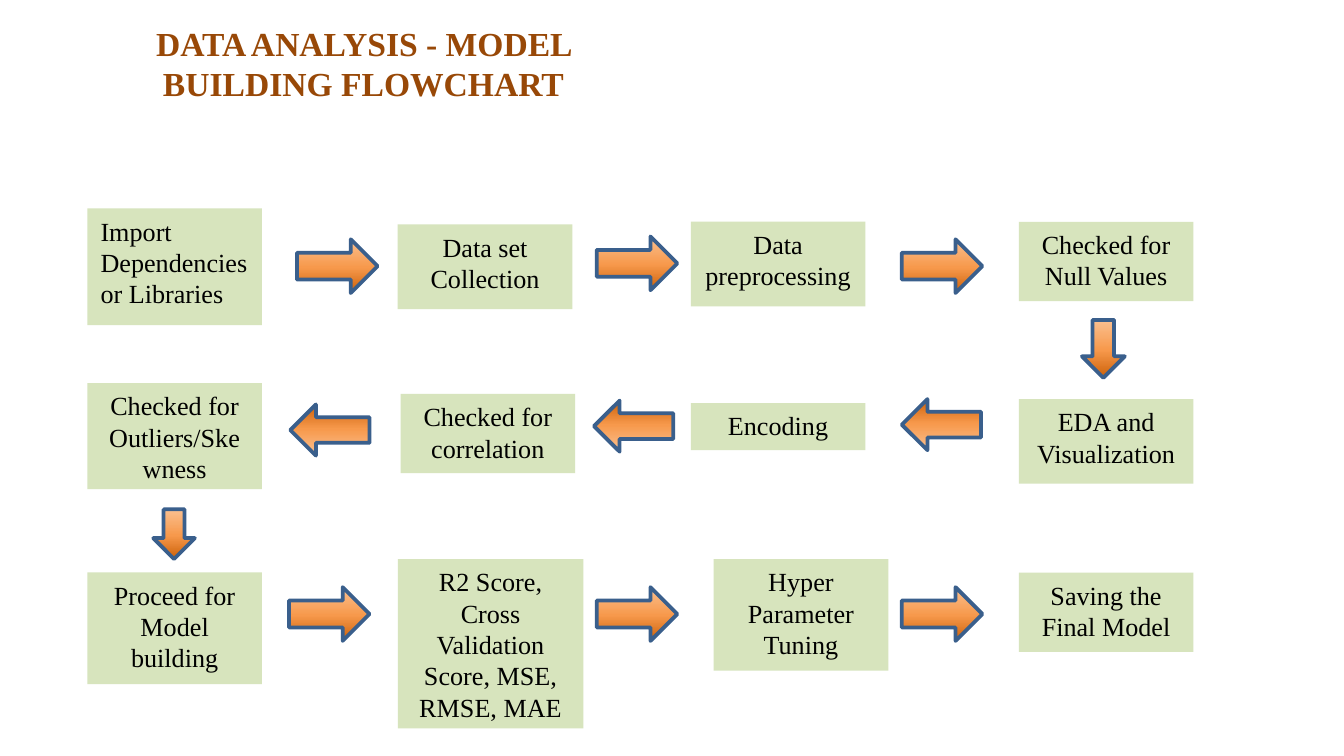
from copy import deepcopy

from pptx import Presentation
from pptx.dml.color import RGBColor
from pptx.enum.shapes import MSO_SHAPE
from pptx.enum.text import MSO_ANCHOR, MSO_AUTO_SIZE, PP_ALIGN
from pptx.util import Pt

RECTANGLE = MSO_SHAPE.RECTANGLE
RIGHT_ARROW = MSO_SHAPE.RIGHT_ARROW
DOWN_ARROW = MSO_SHAPE.DOWN_ARROW
TOP = MSO_ANCHOR.TOP
MIDDLE = MSO_ANCHOR.MIDDLE
FIT_SHAPE = MSO_AUTO_SIZE.SHAPE_TO_FIT_TEXT
NO_FIT = MSO_AUTO_SIZE.NONE
LEFT = PP_ALIGN.LEFT
CENTER = PP_ALIGN.CENTER

FONT = "Times New Roman"
BROWN = RGBColor(0x98, 0x48, 0x07)
BLACK = RGBColor(0x00, 0x00, 0x00)
GREEN = RGBColor(0xD7, 0xE4, 0xBD)
BLUE = RGBColor(0x3A, 0x5F, 0x8C)
ARROW_STOPS = [
    (0, RGBColor(0xCC, 0x61, 0x09)),
    (0.48, RGBColor(0xF7, 0x99, 0x4C)),
    (1, RGBColor(0xFA, 0xC0, 0x90)),
]

STEP_WIDTH = 93.6
ROW_LEFT, ROW_WIDTH = 46.8, 592.6
FORWARD_SIZE = (43.2, 28.8)
BACKWARD_SIZE = (42.5, 27.4)

ROWS = [
    {
        "box": (ROW_LEFT, 111.6, ROW_WIDTH, 62.6),
        "steps": [
            ("Import Dependencies or Libraries", 0, 0, STEP_WIDTH, 62.6, LEFT),
            ("Data set Collection", 166.3, 8.6, STEP_WIDTH, 45.4, CENTER),
            ("Data preprocessing", 323.3, 7.2, STEP_WIDTH, 45.4, CENTER),
            ("Checked for Null Values", 499, 7.2, STEP_WIDTH, 42.5, CENTER),
        ],
        "arrows": [(112.3, 16.6), (272.9, 15.1), (436.3, 16.6)],
        "arrow_size": FORWARD_SIZE,
        "rotation": 0,
    },
    {
        "box": (ROW_LEFT, 205.2, ROW_WIDTH, 56.9),
        "steps": [
            ("Checked for Outliers/Skewness", 0, 0, STEP_WIDTH, 56.9, CENTER),
            ("Checked for correlation", 167.8, 5.8, STEP_WIDTH, 42.5, CENTER),
            ("Encoding", 323.3, 10.8, STEP_WIDTH, 25.2, CENTER),
            ("EDA and Visualization", 499, 8.6, STEP_WIDTH, 45.4, CENTER),
        ],
        "arrows": [(108.7, 11.5), (271.4, 9.4), (436.3, 8.6)],
        "arrow_size": BACKWARD_SIZE,
        "rotation": 180,
    },
    {
        "box": (ROW_LEFT, 299.5, ROW_WIDTH, 90.7),
        "steps": [
            ("Proceed for Model building", 0, 7.2, STEP_WIDTH, 59.8, CENTER),
            ("R2 Score, Cross Validation Score, MSE, RMSE, MAE",
             166.3, 0, 99.4, 90.7, CENTER),
            ("Hyper Parameter Tuning", 335.5, 0, STEP_WIDTH, 59.8, CENTER),
            ("Saving the Final Model", 499, 7.2, STEP_WIDTH, 42.5, CENTER),
        ],
        "arrows": [(108, 15.1), (272.9, 15.1), (436.3, 15.1)],
        "arrow_size": FORWARD_SIZE,
        "rotation": 0,
    },
]
DOWN_ARROWS = [(579.6, 171.4, 23, 31), (82.1, 272.9, 22.3, 26.6)]


def write_text(shape, text, size, color, alignment, anchor, fit, bold=False):
    frame = shape.text_frame
    frame.word_wrap = True
    frame.auto_size = fit
    frame.vertical_anchor = anchor
    paragraph = frame.paragraphs[0]
    paragraph.alignment = alignment
    run = paragraph.add_run()
    run.text = text
    run.font.name = FONT
    run.font.size = Pt(size)
    run.font.bold = bold
    run.font.color.rgb = color


def place_title(slide, box):
    title = slide.shapes.title
    title.left, title.top, title.width, title.height = map(Pt, box)
    write_text(title, "DATA ANALYSIS - MODEL BUILDING FLOWCHART", 18, BROWN,
               CENTER, MIDDLE, NO_FIT, bold=True)


def add_step(slide, box, text, alignment):
    step = slide.shapes.add_shape(RECTANGLE, *map(Pt, box))
    step.shadow.inherit = False
    step.fill.solid()
    step.fill.fore_color.rgb = GREEN
    step.line.fill.background()
    write_text(step, text, 14, BLACK, alignment, TOP, FIT_SHAPE)


def add_arrow(slide, kind, box, rotation=0):
    arrow = slide.shapes.add_shape(kind, *map(Pt, box))
    arrow.shadow.inherit = False
    arrow.rotation = rotation
    arrow.line.color.rgb = BLUE
    arrow.line.width = Pt(2)
    arrow.fill.gradient()
    arrow.fill.gradient_angle = 90
    stop_list = arrow._element.spPr.gradFill.gsLst
    stop_list.insert(1, deepcopy(stop_list[0]))
    for stop, (position, color) in zip(arrow.fill.gradient_stops, ARROW_STOPS):
        stop.position = position
        stop.color.rgb = color


def draw_row(slide, box, steps, arrows, arrow_size, rotation):
    left, top = box[:2]
    for text, x, y, width, height, alignment in steps:
        add_step(slide, (left + x, top + y, width, height), text, alignment)
    for x, y in arrows:
        add_arrow(slide, RIGHT_ARROW, (left + x, top + y, *arrow_size), rotation)


def main():
    presentation = Presentation()
    presentation.slide_width = Pt(720)
    presentation.slide_height = Pt(405)
    slide = presentation.slides.add_slide(presentation.slide_layouts[5])
    place_title(slide, (29.5, 0, 330.5, 67.7))
    for row in ROWS:
        draw_row(slide, **row)
    for box in DOWN_ARROWS:
        add_arrow(slide, DOWN_ARROW, box)
    presentation.save("out.pptx")


if __name__ == "__main__":
    main()
